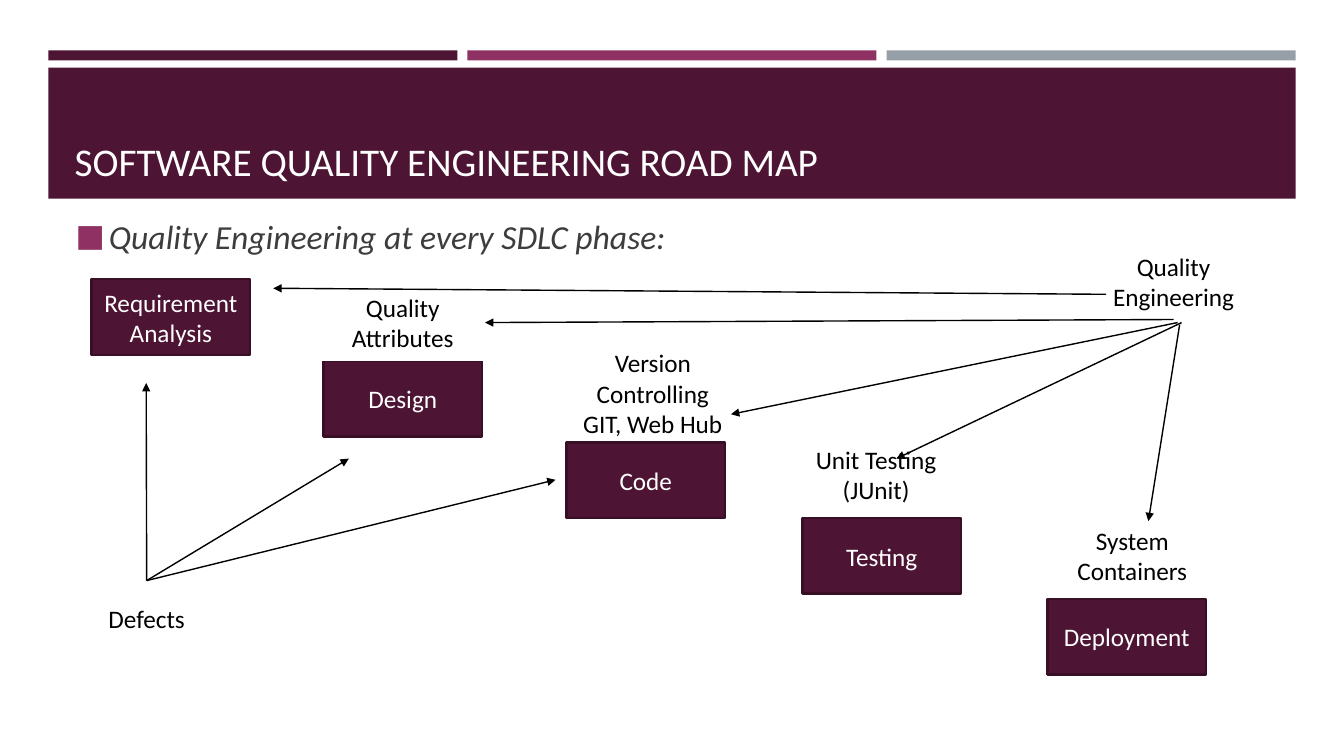
from lxml.etree import SubElement
from pptx import Presentation
from pptx.dml.color import RGBColor
from pptx.enum.shapes import MSO_CONNECTOR, MSO_SHAPE
from pptx.enum.text import MSO_ANCHOR, MSO_AUTO_SIZE, PP_ALIGN
from pptx.oxml.ns import qn
from pptx.util import Inches, Pt

PLUM = RGBColor(0x4D, 0x14, 0x34)
DARK_PLUM = RGBColor(0x39, 0x0F, 0x26)
MAGENTA = RGBColor(0x90, 0x31, 0x63)
SLATE = RGBColor(0x96, 0x9F, 0xA7)
CHARCOAL = RGBColor(0x3D, 0x3D, 0x3D)
WHITE = RGBColor(0xFF, 0xFF, 0xFF)
BLACK = RGBColor(0x00, 0x00, 0x00)
FONT = "Calibri"
TOP, LEFT, BOTTOM, RIGHT = range(4)

PHASE_SIZE = (1.57, 0.75)
PHASES = [
    ("Requirement Analysis", 0.27, 0.36),
    ("Design", 2.57, 1.17),
    ("Code", 4.98, 1.98),
    ("Testing", 7.32, 2.73),
    ("Deployment", 9.75, 3.53),
]
LABEL_HEIGHT = 0.76
LABELS = [
    ("System Containers", 9.92, 2.72, 1.34),
    ("Unit Testing\n(JUnit)", 7.22, 1.92, 1.66),
    ("Version Controlling\nGIT, Web Hub", 5.02, 1.11, 1.63),
    ("Quality Attributes", 2.54, 0.41, 1.63),
    ("Defects", 0, 3.35, 1.63),
    ("Quality Engineering", 10.08, 0, 1.84),
]
DEFECT_TARGETS = [(2.82, 2.14), (0.81, 1.39), (4.87, 2.35)]
ENGINEERING_ARROWS = [
    ((11.06, 0.81), (10.75, 2.76)),
    ((11.08, 0.79), (8.25, 2.14)),
    ((11.04, 0.79), (6.61, 1.7)),
    ((10.33, 0.51), (2.07, 0.45)),
]


def place(shape, box):
    shape.left, shape.top, shape.width, shape.height = map(Inches, box)


def format_text(frame, size, color, anchor, align, italic=False):
    frame.word_wrap = True
    frame.auto_size = MSO_AUTO_SIZE.NONE
    frame.vertical_anchor = anchor
    for para in frame.paragraphs:
        para.alignment = align
        for span in para.runs:
            span.font.name = FONT
            span.font.size = Pt(size)
            span.font.italic = italic
            span.font.color.rgb = color


def add_box(page, box, fill, text="", color=WHITE, border=None):
    shape = page.shapes.add_shape(MSO_SHAPE.RECTANGLE, *map(Inches, box))
    shape.shadow.inherit = False
    shape.fill.solid()
    shape.fill.fore_color.rgb = fill
    if border is None:
        shape.line.fill.background()
    else:
        shape.line.color.rgb = border
        shape.line.width = Pt(1.75)
    if text:
        shape.text_frame.text = text
        format_text(shape.text_frame, 18, color, MSO_ANCHOR.MIDDLE, PP_ALIGN.CENTER)
    return shape


def add_arrow(page, start, end):
    points = map(Inches, (*start, *end))
    arrow = page.shapes.add_connector(MSO_CONNECTOR.STRAIGHT, *points)
    arrow.line.color.rgb = BLACK
    arrow.line.width = Pt(1)
    properties = arrow.line._get_or_add_ln()
    SubElement(properties, qn("a:tailEnd"), type="triangle")
    SubElement(arrow._element.spPr, qn("a:effectLst"))
    return arrow


def add_header(page, box):
    left, top, width, height = box
    gap = 0.1
    bar_width = (width - 2 * gap) / 3
    bands = [
        add_box(page, (left + i * (bar_width + gap), top, bar_width, 0.1), color)
        for i, color in enumerate((PLUM, MAGENTA, SLATE))
    ]
    bands.append(add_box(page, (left, top + 0.17, width, height - 0.17), PLUM))
    for band in bands:
        page.shapes._spTree.insert(2, band._element)

    title = page.shapes.title
    place(title, (left + 0.16, top + 0.27, width - 0.31, 1.11))
    title.text_frame.text = "SOFTWARE QUALITY ENGINEERING ROAD MAP"
    format_text(title.text_frame, 28, WHITE, MSO_ANCHOR.BOTTOM, PP_ALIGN.LEFT)


def add_intro(page, box):
    body = page.placeholders[1]
    place(body, box)
    body.text_frame.text = "Quality Engineering at every SDLC phase:"
    format_text(body.text_frame, 24, CHARCOAL, MSO_ANCHOR.MIDDLE, PP_ALIGN.LEFT, True)
    para = body.text_frame.paragraphs[0]
    para.space_before = Pt(4.8)
    para.space_after = Pt(6)
    properties = para._p.get_or_add_pPr()
    properties.set("marL", str(Inches(0.33)))
    properties.set("indent", str(-Inches(0.33)))
    bullet_color = SubElement(properties, qn("a:buClr"))
    SubElement(bullet_color, qn("a:srgbClr"), val=str(MAGENTA))
    SubElement(properties, qn("a:buSzPct"), val="92000")
    SubElement(properties, qn("a:buFont"), typeface=FONT)
    SubElement(properties, qn("a:buChar"), char="■")


def add_road_map(page, box):
    left, top = box[:2]

    def shift(point):
        return left + point[0], top + point[1]

    for name, x, y in PHASES:
        add_box(page, (*shift((x, y)), *PHASE_SIZE), PLUM, name, border=DARK_PLUM)
    labels = {
        text: add_box(page, (*shift((x, y)), width, LABEL_HEIGHT), WHITE, text, BLACK)
        for text, x, y, width in LABELS
    }
    for target in DEFECT_TARGETS:
        arrow = add_arrow(page, shift((0.81, 3.35)), shift(target))
        arrow.begin_connect(labels["Defects"], TOP)
    for start, end in ENGINEERING_ARROWS:
        add_arrow(page, shift(start), shift(end))
    arrow = add_arrow(page, shift((11, 0.76)), shift((4.17, 0.79)))
    arrow.begin_connect(labels["Quality Engineering"], BOTTOM)
    arrow.end_connect(labels["Quality Attributes"], RIGHT)


def main():
    deck = Presentation()
    deck.slide_width, deck.slide_height = Inches(13.33), Inches(7.5)
    page = deck.slides.add_slide(deck.slide_layouts[1])
    add_header(page, (0.48, 0.5, 12.37, 1.47))
    add_intro(page, (0.65, 2.06, 12.05, 0.57))
    add_road_map(page, (0.64, 2.41, 11.92, 4.28))
    deck.save("out.pptx")


if __name__ == "__main__":
    main()
